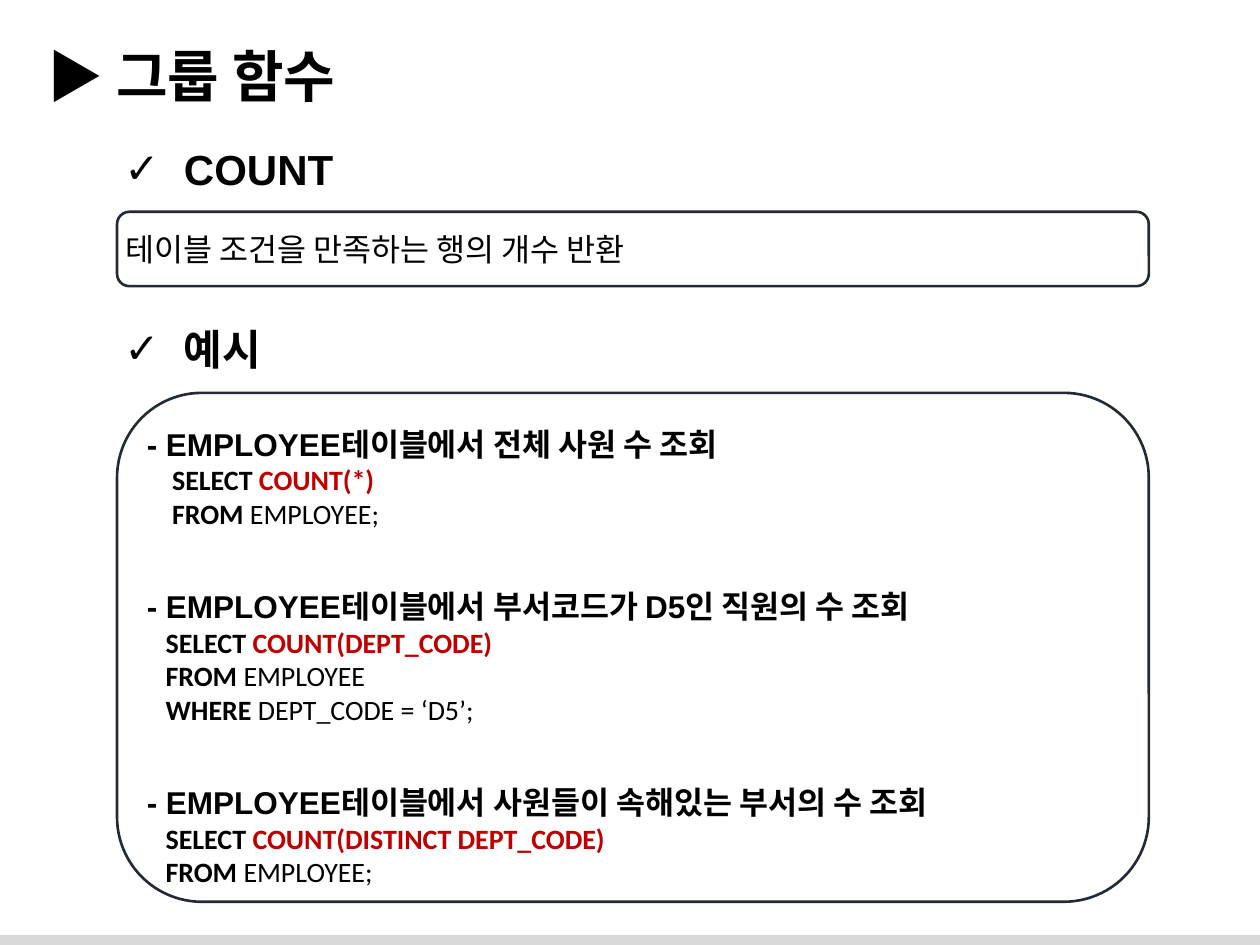
"""Build the slide that explains the COUNT group function."""
from dataclasses import dataclass, field
from typing import Any

import lxml.etree
import pptx
import pptx.dml.color
import pptx.enum.shapes
import pptx.enum.text
import pptx.oxml.ns
import pptx.util

Cm = pptx.util.Cm
Pt = pptx.util.Pt
RGBColor = pptx.dml.color.RGBColor
Shapes = pptx.enum.shapes.MSO_SHAPE
Anchor = pptx.enum.text.MSO_ANCHOR
AutoSize = pptx.enum.text.MSO_AUTO_SIZE
Align = pptx.enum.text.PP_ALIGN


@dataclass(frozen=True)
class Theme:
    ink: RGBColor = RGBColor(0x00, 0x00, 0x00)
    accent: RGBColor = RGBColor(0xC0, 0x00, 0x00)
    outline: RGBColor = RGBColor(0x22, 0x2A, 0x35)
    footer: RGBColor = RGBColor(0xD9, 0xD9, 0xD9)
    text_font: str = "Arial"
    code_font: str = "Calibri"
    title_size: Pt = Pt(32)
    section_size: Pt = Pt(24)
    body_size: Pt = Pt(18)
    code_size: Pt = Pt(16)
    line_width: Pt = Pt(1.5)
    example_gap: Pt = Pt(22)


THEME = Theme()


@dataclass(frozen=True)
class Area:
    left: float
    top: float
    width: float
    height: float

    def lengths(self) -> list[Any]:
        return [Cm(value) for value in (self.left, self.top, self.width, self.height)]


@dataclass(frozen=True)
class Span:
    text: str
    format: dict[str, Any]
    color: RGBColor = THEME.ink


@dataclass(frozen=True)
class Line:
    spans: list[Span]
    format: dict[str, Any] = field(default_factory=dict)
    indent: float = 0
    bullet: str = ""


@dataclass(frozen=True)
class Example:
    heading: str
    counted: str
    clauses: list[tuple[str, str]]
    indent: float = 0.38


TITLE = {"name": THEME.text_font, "size": THEME.title_size, "bold": True}
SECTION = TITLE | {"size": THEME.section_size}
HEADING = TITLE | {"size": THEME.body_size}
BODY = HEADING | {"bold": False}
KEYWORD = {"name": THEME.code_font, "size": THEME.code_size, "bold": True}
CODE = KEYWORD | {"bold": False}

SECTIONS = [
    ("COUNT", Area(2.26, 2.77, 4.78, 1.27)),
    ("예시", Area(2.26, 6.4, 3.48, 1.27)),
]
EXAMPLES = [
    Example("- EMPLOYEE테이블에서 전체 사원 수 조회", "COUNT(*)",
            [("FROM ", "EMPLOYEE;")], indent=0.51),
    Example("- EMPLOYEE테이블에서 부서코드가 D5인 직원의 수 조회", "COUNT(DEPT_CODE)",
            [("FROM ", "EMPLOYEE"), ("WHERE ", "DEPT_CODE = ‘D5’;")]),
    Example("- EMPLOYEE테이블에서 사원들이 속해있는 부서의 수 조회",
            "COUNT(DISTINCT DEPT_CODE)", [("FROM ", "EMPLOYEE;")]),
]


def apply_format(target: Any, values: dict[str, Any]) -> None:
    for name, value in values.items():
        setattr(target, name, value)


def set_indent(para: Any, line: Line) -> None:
    properties = para._p.get_or_add_pPr()
    if line.indent:
        properties.set("marL", str(Cm(line.indent)))
    if line.bullet:
        properties.set("indent", str(-Cm(line.indent)))
        qualified = pptx.oxml.ns.qn
        font = lxml.etree.SubElement(properties, qualified("a:buFont"))
        font.set("typeface", THEME.text_font)
        mark = lxml.etree.SubElement(properties, qualified("a:buChar"))
        mark.set("char", line.bullet)


def write_lines(frame: Any, lines: list[Line]) -> None:
    for index, line in enumerate(lines):
        para = frame.add_paragraph() if index else frame.paragraphs[0]
        set_indent(para, line)
        apply_format(para, {"alignment": Align.LEFT} | line.format)
        for span in line.spans:
            run = para.add_run()
            run.text = span.text
            apply_format(run.font, span.format)
            run.font.color.rgb = span.color


def add_label(slide: Any, area: Area, line: Line, wrap: bool) -> None:
    box = slide.shapes.add_textbox(*area.lengths())
    apply_format(box.text_frame, {"word_wrap": wrap, "auto_size": AutoSize.SHAPE_TO_FIT_TEXT})
    write_lines(box.text_frame, [line])


def add_panel(slide: Any, area: Area, lines: list[Line]) -> None:
    panel = slide.shapes.add_shape(Shapes.ROUNDED_RECTANGLE, *area.lengths())
    panel.shadow.inherit = False
    panel.fill.background()
    panel.line.color.rgb = THEME.outline
    panel.line.width = THEME.line_width
    apply_format(panel.text_frame, {
        "word_wrap": True, "vertical_anchor": Anchor.MIDDLE,
        "margin_left": Cm(0.1), "margin_right": Cm(0),
        "margin_top": Cm(0.13), "margin_bottom": Cm(0.13),
    })
    write_lines(panel.text_frame, lines)


def add_footer(slide: Any, area: Area) -> None:
    bar = slide.shapes.add_shape(Shapes.RECTANGLE, *area.lengths())
    bar.shadow.inherit = False
    bar.fill.solid()
    bar.fill.fore_color.rgb = THEME.footer
    bar.line.fill.background()


def example_lines(examples: list[Example]) -> list[Line]:
    lines = []
    for example in examples:
        spacing = {"line_spacing": 1.5}
        if lines:
            spacing["space_before"] = THEME.example_gap
        lines.append(Line([Span(example.heading, HEADING)], spacing))
        select = [Span("SELECT ", KEYWORD), Span(example.counted, KEYWORD, THEME.accent)]
        lines.append(Line(select, indent=example.indent))
        for keyword, operand in example.clauses:
            clause = [Span(keyword, KEYWORD), Span(operand, CODE)]
            lines.append(Line(clause, indent=example.indent))
    return lines


def main() -> None:
    deck = pptx.Presentation()
    apply_format(deck, {"slide_width": Cm(25.4), "slide_height": Cm(19.05)})
    slide = deck.slides.add_slide(deck.slide_layouts[6])
    add_footer(slide, Area(0, 18.85, 25.4, 0.2))
    add_label(slide, Area(0.71, 0.71, 24, 1.63), Line([Span("▶ 그룹 함수", TITLE)]), True)
    for name, area in SECTIONS:
        add_label(slide, area, Line([Span(name, SECTION)], indent=1.2, bullet="✓"), False)
    summary = Line([Span("테이블 조건을 만족하는 행의 개수 반환", BODY)])
    add_panel(slide, Area(2.36, 4.27, 20.8, 1.5), [summary])
    add_panel(slide, Area(2.36, 7.92, 20.8, 10.26), example_lines(EXAMPLES))
    deck.save("out.pptx")


if __name__ == "__main__":
    main()
